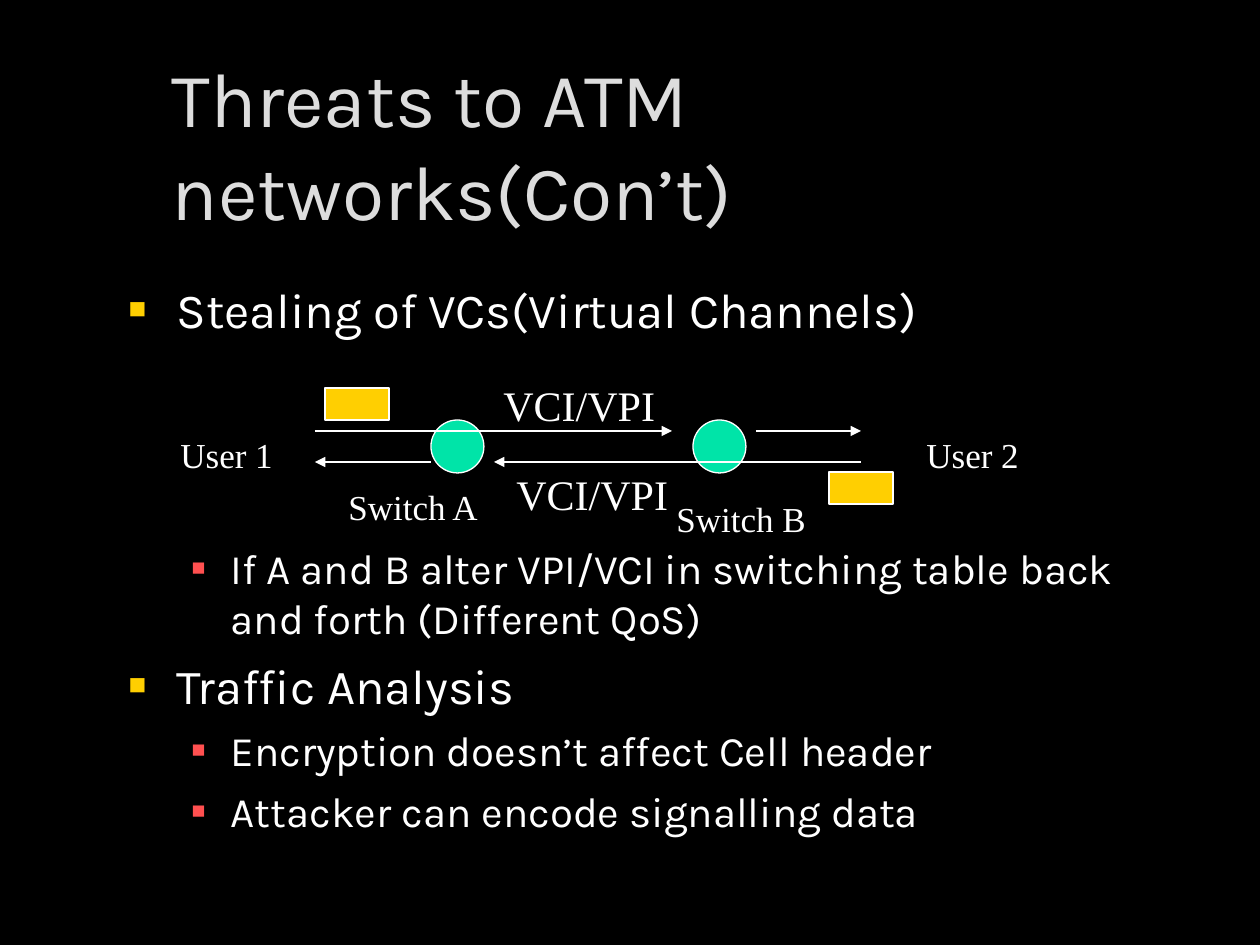
from lxml import etree
from pptx import Presentation
from pptx.dml.color import RGBColor
from pptx.enum.shapes import MSO_CONNECTOR, MSO_SHAPE
from pptx.enum.text import MSO_ANCHOR, MSO_AUTO_SIZE, PP_ALIGN
from pptx.oxml.ns import qn
from pptx.util import Pt

PX = 914400 // 126
STRAIGHT = MSO_CONNECTOR.STRAIGHT
OVAL, RECTANGLE = MSO_SHAPE.OVAL, MSO_SHAPE.RECTANGLE
BOTTOM, TOP = MSO_ANCHOR.BOTTOM, MSO_ANCHOR.TOP
LEFT = PP_ALIGN.LEFT
NO_AUTOFIT = MSO_AUTO_SIZE.NONE

COLORS = {
    "background": "000000",
    "title": "DDDDDD",
    "text": "FFFFFF",
    "switch": "00E4A8",
    "cell": "FFCF01",
    "bullet": "FFCF01",
    "sub_bullet": "FF5050",
}
LEVELS = [
    {"size": 28, "margin": 48, "hanging": 48, "before": 7, "bullet": "bullet", "percent": 60},
    {"size": 24, "margin": 102, "hanging": 39, "before": 6, "bullet": "sub_bullet", "percent": 55},
]
DIAGRAM_GAP = 116.5  # points kept free in the list for the diagram
POINTS = [
    (0, "Stealing of VCs(Virtual Channels)", None),
    (1, "If A and B alter VPI/VCI in switching table back and forth (Different QoS)", DIAGRAM_GAP),
    (0, "Traffic Analysis", None),
    (1, "Encryption doesn’t affect Cell header", None),
    (1, "Attacker can encode signalling data", None),
]


def color(name):
    return RGBColor.from_string(COLORS[name])


def scale(*lengths):
    return [length * PX for length in lengths]


def add_run(paragraph, text, size, font_name, color_name):
    run = paragraph.add_run()
    run.text = text
    for name, value in {"size": Pt(size), "name": font_name, "bold": False}.items():
        setattr(run.font, name, value)
    run.font.color.rgb = color(color_name)


def format_frame(frame, anchor):
    settings = {"vertical_anchor": anchor, "word_wrap": True, "auto_size": NO_AUTOFIT}
    for name, value in settings.items():
        setattr(frame, name, value)


def place(shape, box, anchor):
    for name, value in zip(("left", "top", "width", "height"), scale(*box)):
        setattr(shape, name, value)
    format_frame(shape.text_frame, anchor)


def fill_title(shape, box):
    place(shape, box, BOTTOM)
    paragraph = shape.text_frame.paragraphs[0]
    paragraph.alignment = LEFT
    add_run(paragraph, "Threats to ATM networks(Con’t)", 44, "Karla", "title")


def set_bullet(paragraph, style):
    properties = paragraph._p.get_or_add_pPr()
    properties.set("marL", str(style["margin"] * PX))
    properties.set("indent", str(-style["hanging"] * PX))
    bullet_color = etree.SubElement(properties, qn("a:buClr"))
    etree.SubElement(bullet_color, qn("a:srgbClr"), val=COLORS[style["bullet"]])
    etree.SubElement(properties, qn("a:buSzPct"), val=str(style["percent"] * 1000))
    etree.SubElement(properties, qn("a:buChar"), char="■")


def fill_body(shape, box):
    place(shape, box, TOP)
    frame = shape.text_frame
    for index, (level, text, gap) in enumerate(POINTS):
        style = LEVELS[level]
        paragraph = frame.add_paragraph() if index else frame.paragraphs[0]
        paragraph.level = level
        paragraph.space_before = Pt(gap or style["before"])
        set_bullet(paragraph, style)
        add_run(paragraph, text, style["size"], "Karla", "text")


def add_outlined_shape(shapes, kind, box, fill):
    shape = shapes.add_shape(kind, *scale(*box))
    shape.shadow.inherit = False
    shape.fill.solid()
    shape.fill.fore_color.rgb = color(fill)
    shape.line.color.rgb = color("text")
    shape.line.width = Pt(0.75)


def add_arrow(shapes, start, end, y):
    arrow = shapes.add_connector(STRAIGHT, *scale(start, y, end, y))
    arrow.line.color.rgb = color("text")
    arrow.line.width = Pt(0.75)
    etree.SubElement(arrow.line._get_or_add_ln(), qn("a:tailEnd"), type="triangle")
    etree.SubElement(arrow._element.spPr, qn("a:effectLst"))


def add_label(shapes, text, box, size):
    frame = shapes.add_textbox(*scale(*box)).text_frame
    format_frame(frame, TOP)
    add_run(frame.paragraphs[0], text, size, "Times New Roman", "text")


def add_diagram(slide, left, top):
    """Draw two users exchanging cells through two switches."""
    shapes = slide.shapes.add_group_shape().shapes
    for x in (263, 525):
        add_outlined_shape(shapes, OVAL, (left + x, top + 47, 53, 53), "switch")
    for start, end, y in [(147, 504, 58), (588, 693, 58), (693, 326, 89), (263, 147, 89)]:
        add_arrow(shapes, left + start, left + end, top + y)
    labels = [
        ("User 1", 0, 54, 126, 55, 20),
        ("User 2", 746, 54, 126, 55, 20),
        ("Switch A", 168, 106, 164, 55, 20),
        ("Switch B", 496, 118, 164, 55, 20),
        ("VCI/VPI", 323, 0, 186, 63, 24),
        ("VCI/VPI", 336, 89, 186, 63, 24),
    ]
    for text, x, y, width, height, size in labels:
        add_label(shapes, text, (left + x, top + y, width, height), size)
    for x, y in [(157, 15), (661, 99)]:
        add_outlined_shape(shapes, RECTANGLE, (left + x, top + y, 64, 32), "cell")


def main():
    presentation = Presentation()
    presentation.slide_width, presentation.slide_height = scale(1260, 945)
    slide = presentation.slides.add_slide(presentation.slide_layouts[1])
    slide.background.fill.solid()
    slide.background.fill.fore_color.rgb = color("background")
    fill_title(slide.shapes.title, (159, 84, 1074, 158))
    fill_body(slide.placeholders[1], (116, 273, 1071, 567))
    add_diagram(slide, 168, 373)
    presentation.save("out.pptx")


if __name__ == "__main__":
    main()
